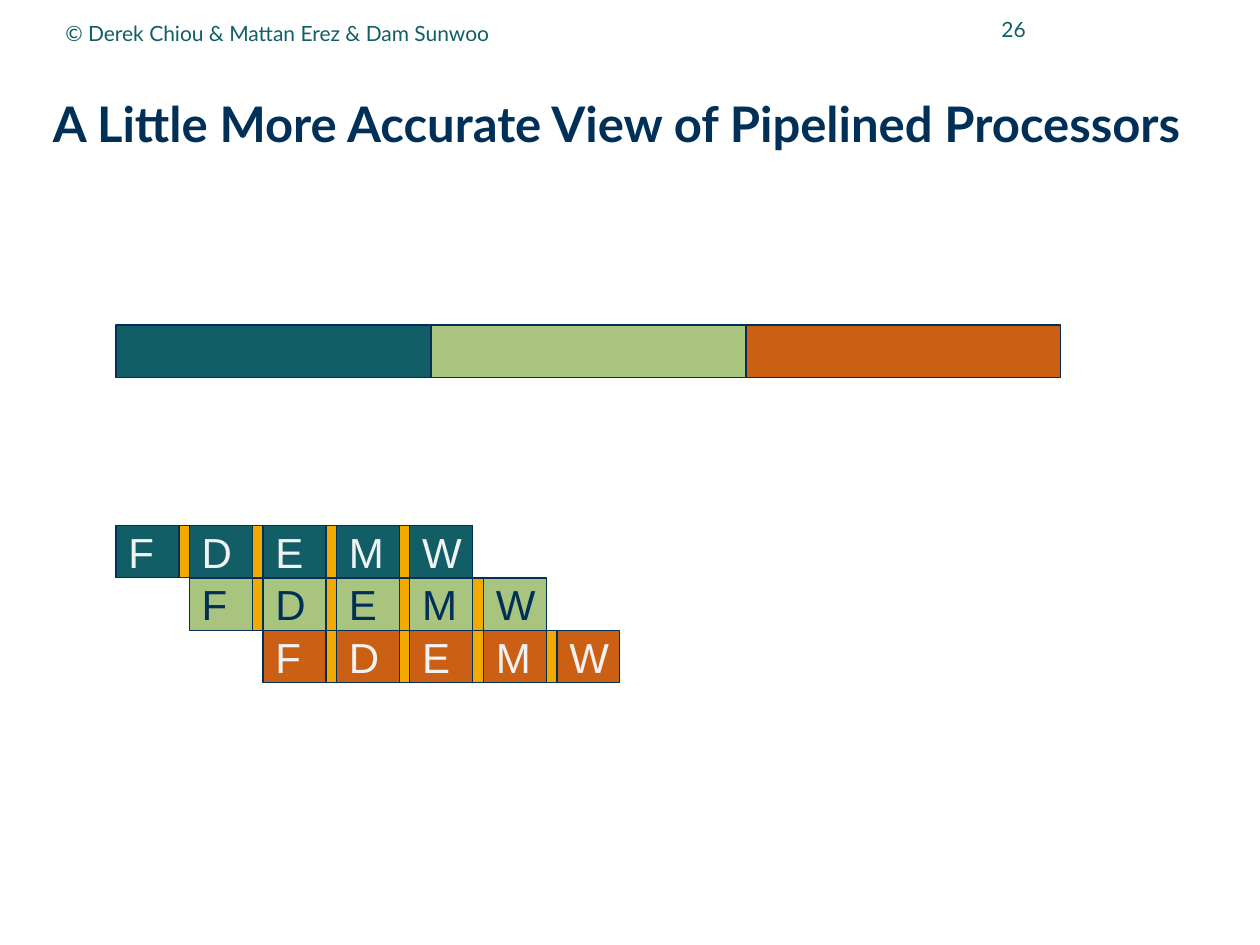
from pptx import Presentation
from pptx.dml.color import RGBColor
from pptx.enum.shapes import MSO_SHAPE
from pptx.enum.text import MSO_ANCHOR, MSO_AUTO_SIZE, PP_ALIGN
from pptx.util import Inches, Pt

RECT = MSO_SHAPE.RECTANGLE
MIDDLE = MSO_ANCHOR.MIDDLE
NO_FIT = MSO_AUTO_SIZE.NONE
LEFT, RIGHT = PP_ALIGN.LEFT, PP_ALIGN.RIGHT

NAVY = RGBColor(0x00, 0x30, 0x57)
TEAL = RGBColor(0x11, 0x5E, 0x67)
GREEN = RGBColor(0xA9, 0xC4, 0x7F)
ORANGE = RGBColor(0xCB, 0x60, 0x15)
GOLD = RGBColor(0xF2, 0xA9, 0x00)
PALE = RGBColor(0xF2, 0xF2, 0xF2)

STAGES = "FDEMW"
INSTRUCTIONS = [(TEAL, PALE), (GREEN, NAVY), (ORANGE, PALE)]
X0 = 0.92
BAR_Y, BAR_W = 2.58, 2.5
PIPE_Y = 4.17
STAGE_W, LATCH_W = 0.5, 1 / 12
PITCH = STAGE_W + LATCH_W
ROW_H = 5 / 12


class SlideBuilder:
    """Draws styled elements on one slide."""

    heading_font = "Lato"
    stage_font = "Arial"

    def __init__(self, prs):
        self.s = prs.slides.add_slide(prs.slide_layouts[5])

    def add_text(self, tf, text, font, size, color, align=LEFT, bold=False):
        tf.auto_size = NO_FIT
        tf.vertical_anchor = MIDDLE
        p = tf.paragraphs[0]
        p.alignment = align
        r = p.add_run()
        r.text = text
        r.font.name = font
        r.font.size = Pt(size)
        r.font.bold = bold
        r.font.color.rgb = color
        return p

    def title(self, text, x, y, w, h):
        sp = self.s.shapes.title
        sp.left, sp.top = Inches(x), Inches(y)
        sp.width, sp.height = Inches(w), Inches(h)
        tf = sp.text_frame
        tf.margin_left = tf.margin_right = tf.margin_top = tf.margin_bottom = 0
        tf.word_wrap = True
        p = self.add_text(tf, text, self.heading_font, 28, NAVY, bold=True)
        p.line_spacing = 0.99

    def label(self, text, x, y, w, h, align=LEFT):
        sp = self.s.shapes.add_textbox(Inches(x), Inches(y), Inches(w), Inches(h))
        sp.text_frame.word_wrap = True
        self.add_text(sp.text_frame, text, self.heading_font, 12, TEAL, align)

    def block(self, x, y, w, fill, text="", color=NAVY):
        sp = self.s.shapes.add_shape(RECT, Inches(x), Inches(y), Inches(w), Inches(ROW_H))
        sp.shadow.inherit = False
        sp.fill.solid()
        sp.fill.fore_color.rgb = fill
        sp.line.color.rgb = NAVY
        sp.line.width = Pt(0.75)
        if text:
            sp.text_frame.word_wrap = False
            self.add_text(sp.text_frame, text, self.stage_font, 24, color)

    def pipeline(self, x, y, fill, color):
        for i, stage in enumerate(STAGES):
            left = x + i * PITCH
            if i:
                self.block(left - LATCH_W, y, LATCH_W, GOLD)
            self.block(left, y, STAGE_W, fill, stage, color)


def main():
    prs = Presentation()
    prs.slide_width, prs.slide_height = Inches(10), Inches(7.5)
    b = SlideBuilder(prs)
    b.title("A Little More Accurate View of Pipelined Processors", 0.42, 0.5, 9.41, 0.98)
    b.label("26", 7.33, -0.02, 0.91, 0.5, RIGHT)
    b.label("© Derek Chiou & Mattan Erez & Dam Sunwoo", 0.42, 0.03, 5.67, 0.46)
    for i, (fill, color) in enumerate(INSTRUCTIONS):
        b.block(X0 + i * BAR_W, BAR_Y, BAR_W, fill)
        b.pipeline(X0 + i * PITCH, PIPE_Y + i * ROW_H, fill, color)
    prs.save("out.pptx")


if __name__ == "__main__":
    main()
